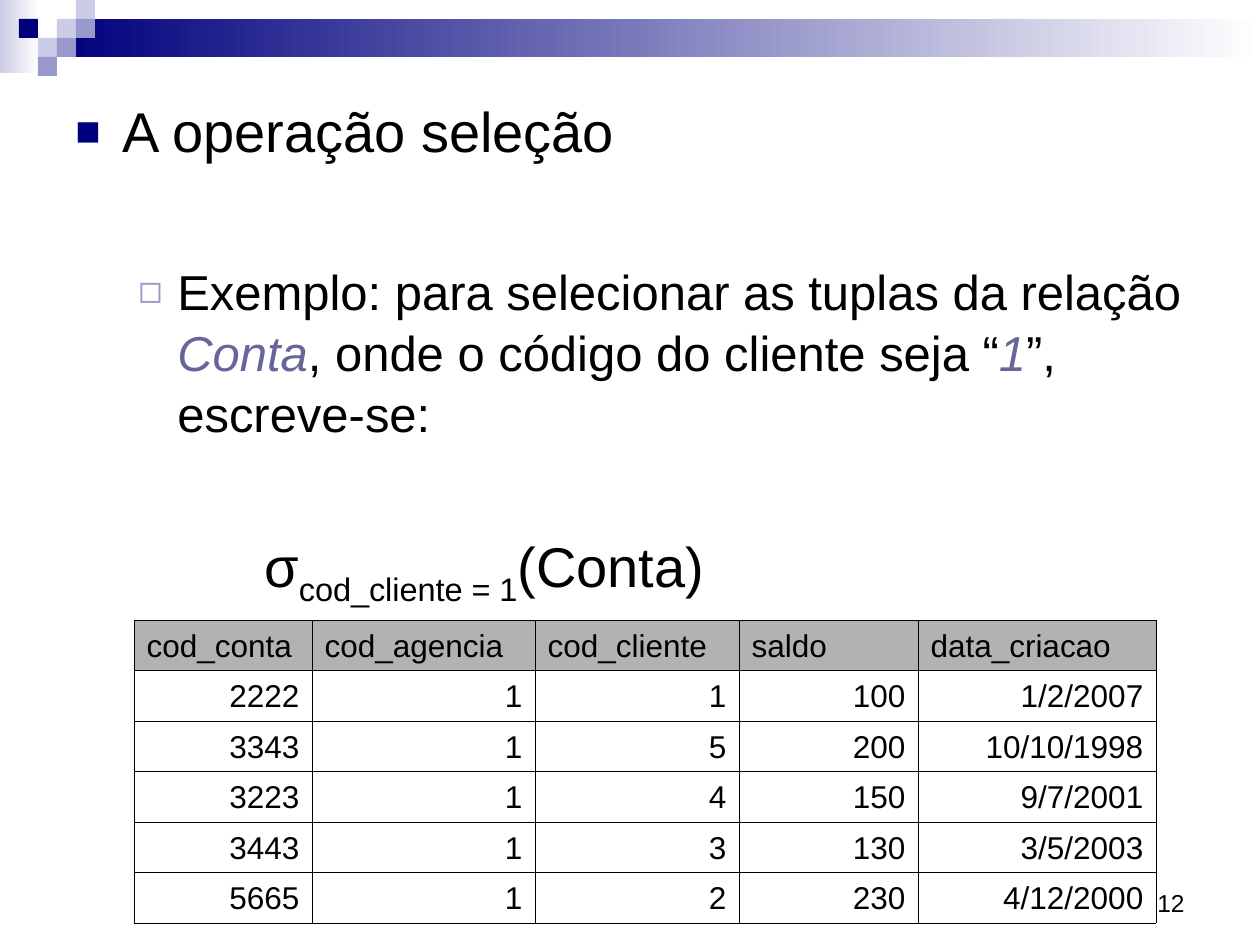
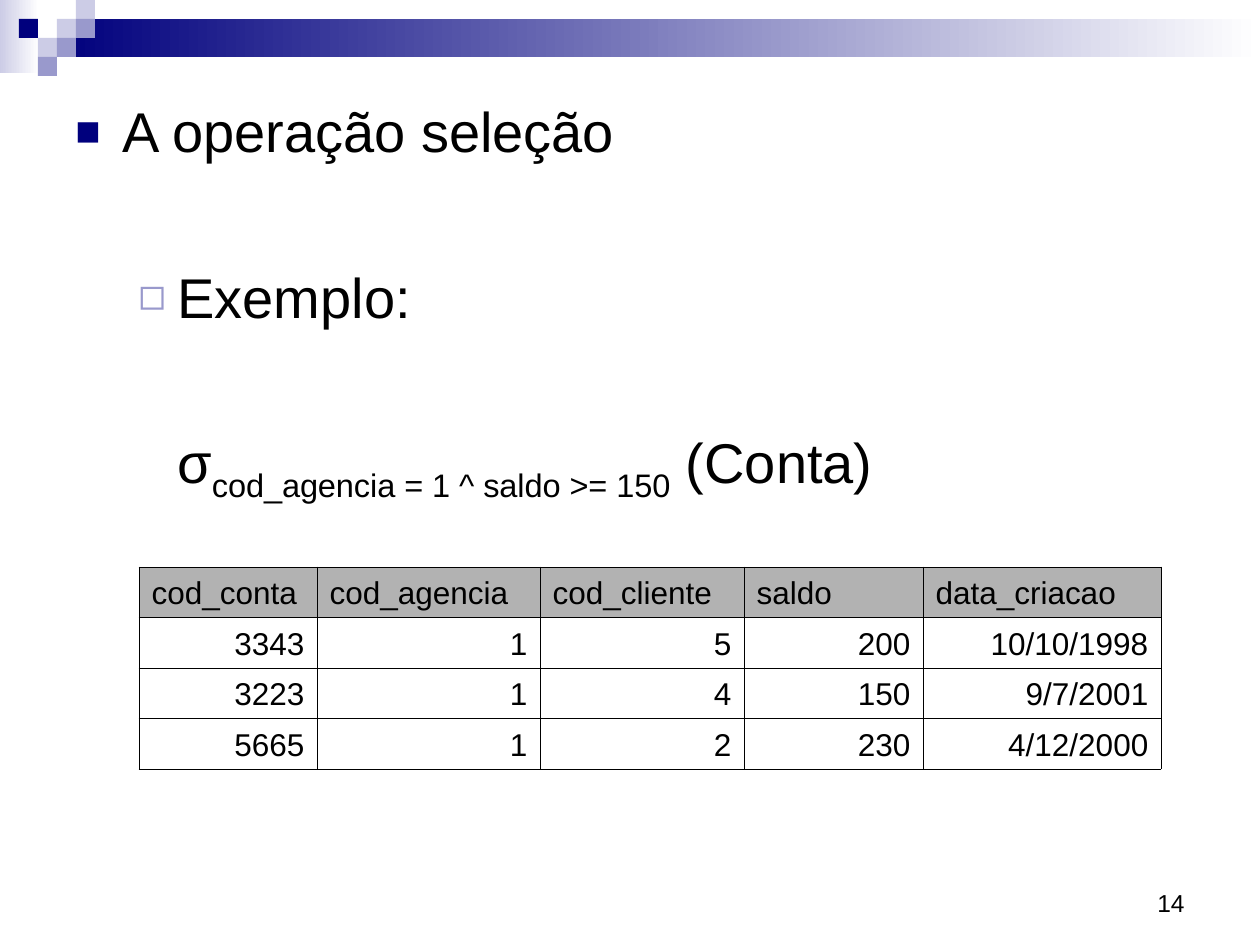
from lxml import etree
from pptx import Presentation
from pptx import util as u
from pptx.dml.color import RGBColor
from pptx.enum import shapes, text
from pptx.oxml.ns import qn

NAVY, LILAC, PALE, WHITE = "00007D", "9999CC", "CCCCE6", "FFFFFF"
BLACK, SLATE, GREY = "000000", "666699", "B2B2B2"
FONT = "Arial"
STEP = 19
SQUARES = [(3, 0, PALE), (1, 1, NAVY), (3, 1, LILAC), (3, 1, LILAC),
           (4, 0, PALE), (2, 2, PALE)]
SQUARES = [(3, 1, PALE), (4, 0, PALE), (4, 1, LILAC), (2, 2, PALE),
           (1, 1, NAVY), (3, 2, LILAC), (2, 3, LILAC)]
HEADS = ["cod_conta", "cod_agencia", "cod_cliente", "saldo", "data_criacao"]
WIDTHS = [178, 223, 204, 179, 238]
ROWS = [
    ["2222", "1", "1", "100", "1/2/2007"],
    ["3343", "1", "5", "200", "10/10/1998"],
    ["3223", "1", "4", "150", "9/7/2001"],
    ["3443", "1", "3", "130", "3/5/2003"],
    ["5665", "1", "2", "230", "4/12/2000"],
]


def px(n):
    return u.Emu(round(n * 914400 / 126))


def rgb(code):
    return RGBColor.from_string(code)


def rect(slide, x, y, w, h, *colors):
    """Draw a plain rectangle; two colours make a left-to-right gradient."""
    shape = slide.shapes.add_shape(shapes.MSO_SHAPE.RECTANGLE,
                                   px(x), px(y), px(w), px(h))
    shape.shadow.inherit = False
    shape.line.fill.background()
    if len(colors) == 1:
        shape.fill.solid()
        shape.fill.fore_color.rgb = rgb(colors[0])
        return
    shape.fill.gradient()
    shape.fill.gradient_angle = 0
    for stop, color in zip(shape.fill.gradient_stops, colors):
        stop.color.rgb = rgb(color)


def band(slide):
    rect(slide, 0, 0, 39, 73, PALE, WHITE)
    rect(slide, 57, STEP, 1203, 2 * STEP, NAVY, WHITE)
    for col, row, color in SQUARES:
        rect(slide, col * STEP, row * STEP, STEP, STEP, color)


def run(para, words, size, color=BLACK, italic=False, sub=False):
    part = para.add_run()
    part.text = words
    font = part.font
    font.name, font.size, font.italic = FONT, u.Pt(size), italic
    font.color.rgb = rgb(color)
    if sub:
        font._element.set("baseline", "-25000")


def box(slide, x, y, w, h, top=6):
    frame = slide.shapes.add_textbox(px(x), px(y), px(w), px(h)).text_frame
    frame.word_wrap = True
    frame.margin_top = px(top)
    return frame


def indent(para, left, gap=0, before=0):
    """Set the left edge of the text and the space before it in points."""
    props = para._p.get_or_add_pPr()
    props.set("marL", str(px(left)))
    props.set("indent", str(px(-gap)))
    para.space_before = u.Pt(before)


def bullet(para, char, color, size):
    props = para._p.get_or_add_pPr()
    tint = etree.SubElement(props, qn("a:buClr"))
    etree.SubElement(tint, qn("a:srgbClr"), val=color)
    etree.SubElement(props, qn("a:buSzPct"), val=str(size * 1000))
    etree.SubElement(props, qn("a:buFont"), typeface=FONT)
    etree.SubElement(props, qn("a:buChar"), char=char)


def body(slide, height, size, example, before):
    """Write the heading and the example below it."""
    frame = box(slide, 63, 86, 1158, height, top=11)
    head = frame.paragraphs[0]
    indent(head, 47, 47)
    bullet(head, "■", NAVY, 75)
    run(head, "A operação seleção", 32)
    item = frame.add_paragraph()
    indent(item, 102, 39, before)
    if len(example) > 1:
        item.line_spacing = 1.04
    bullet(item, "◻", LILAC, 80)
    for words, marked in example:
        run(item, words, size, SLATE if marked else BLACK, marked)
    return frame


def formula(frame, left, before, test, name):
    para = frame.add_paragraph()
    indent(para, left, before=before)
    run(para, "σ", 32)
    run(para, test, 32, sub=True)
    run(para, name, 32)


def border(cell):
    props = cell._tc.get_or_add_tcPr()
    for i, side in enumerate(("lnL", "lnR", "lnT", "lnB")):
        line = etree.Element(qn("a:" + side), w=str(u.Pt(0.45)))
        fill = etree.SubElement(line, qn("a:solidFill"))
        etree.SubElement(fill, qn("a:srgbClr"), val=BLACK)
        props.insert(i, line)


def grid(slide, x, y, h, rows):
    data = [HEADS] + rows
    table = slide.shapes.add_table(len(data), len(HEADS), px(x), px(y),
                                   px(sum(WIDTHS)), px(h)).table
    table.first_row = table.horz_banding = False
    for col, width in zip(table.columns, WIDTHS):
        col.width = px(width)
    for r, line in enumerate(data):
        for c, words in enumerate(line):
            cell = table.cell(r, c)
            cell.vertical_anchor = text.MSO_ANCHOR.BOTTOM
            para = cell.text_frame.paragraphs[0]
            run(para, words, 18)
            if r:
                cell.fill.background()
                para.alignment = text.PP_ALIGN.RIGHT
            else:
                cell.fill.solid()
                cell.fill.fore_color.rgb = rgb(GREY)
            border(cell)


def number(slide, value):
    frame = box(slide, 903, 861, 294, 63)
    frame.vertical_anchor = text.MSO_ANCHOR.BOTTOM
    para = frame.paragraphs[0]
    para.alignment = text.PP_ALIGN.RIGHT
    run(para, value, 14)


def page(deck, value):
    slide = deck.slides.add_slide(deck.slide_layouts[6])
    band(slide)
    number(slide, value)
    return slide


def main():
    deck = Presentation()
    deck.slide_width, deck.slide_height = px(1260), px(945)

    slide = page(deck, "12")
    frame = body(slide, 517, 28, [
        ("Exemplo: para selecionar as tuplas da relação ", False),
        ("Conta", True),
        (", onde o código do cliente seja “", False),
        ("1", True),
        ("”, escreve-se:", False),
    ], 54)
    formula(frame, 189, 51, "cod_cliente = 1", "(Conta)")
    grid(slide, 134, 620, 303, ROWS)

    slide = page(deck, "14")
    frame = body(slide, 859, 32, [("Exemplo:", False)], 56)
    formula(frame, 102, 56, "cod_agencia = 1 ^ saldo >= 150", " (Conta)")
    picked = [row for row in ROWS if row[1] == "1" and int(row[3]) >= 150]
    grid(slide, 139, 567, 202, picked)

    deck.save("out.pptx")


if __name__ == "__main__":
    main()
